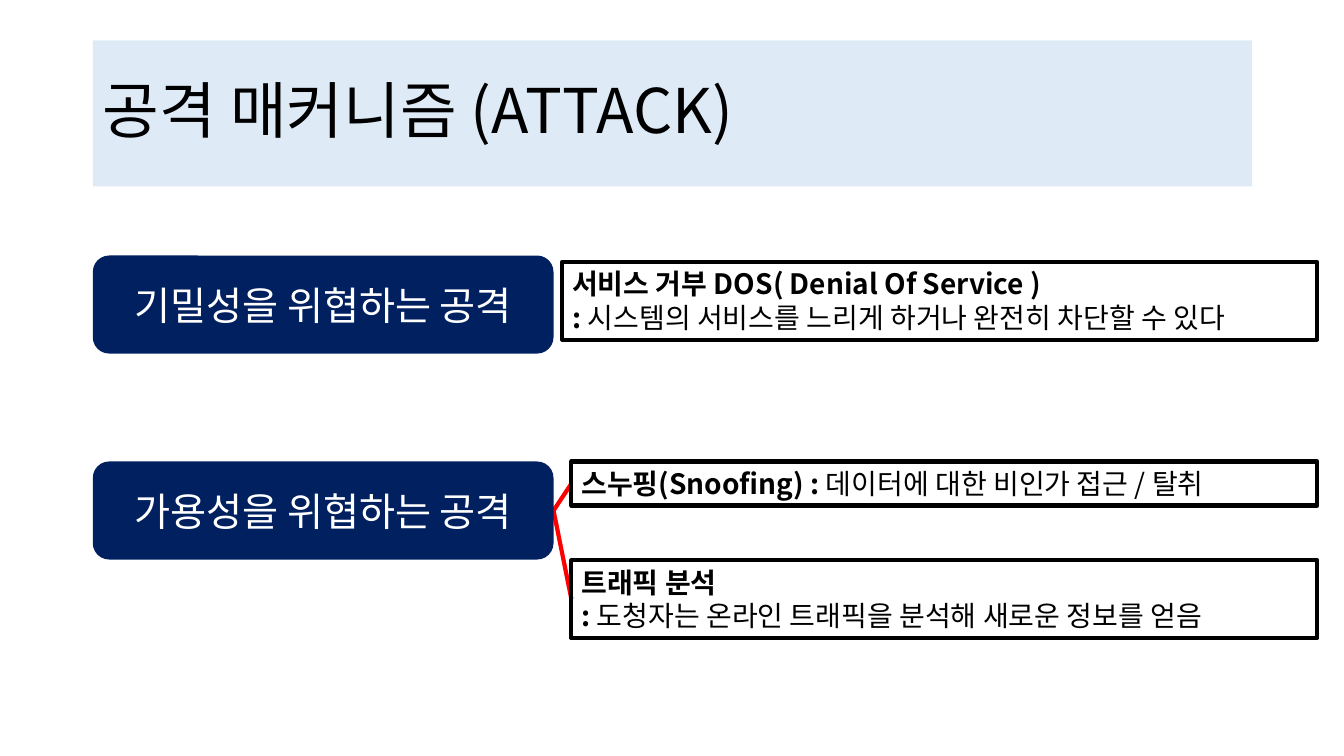
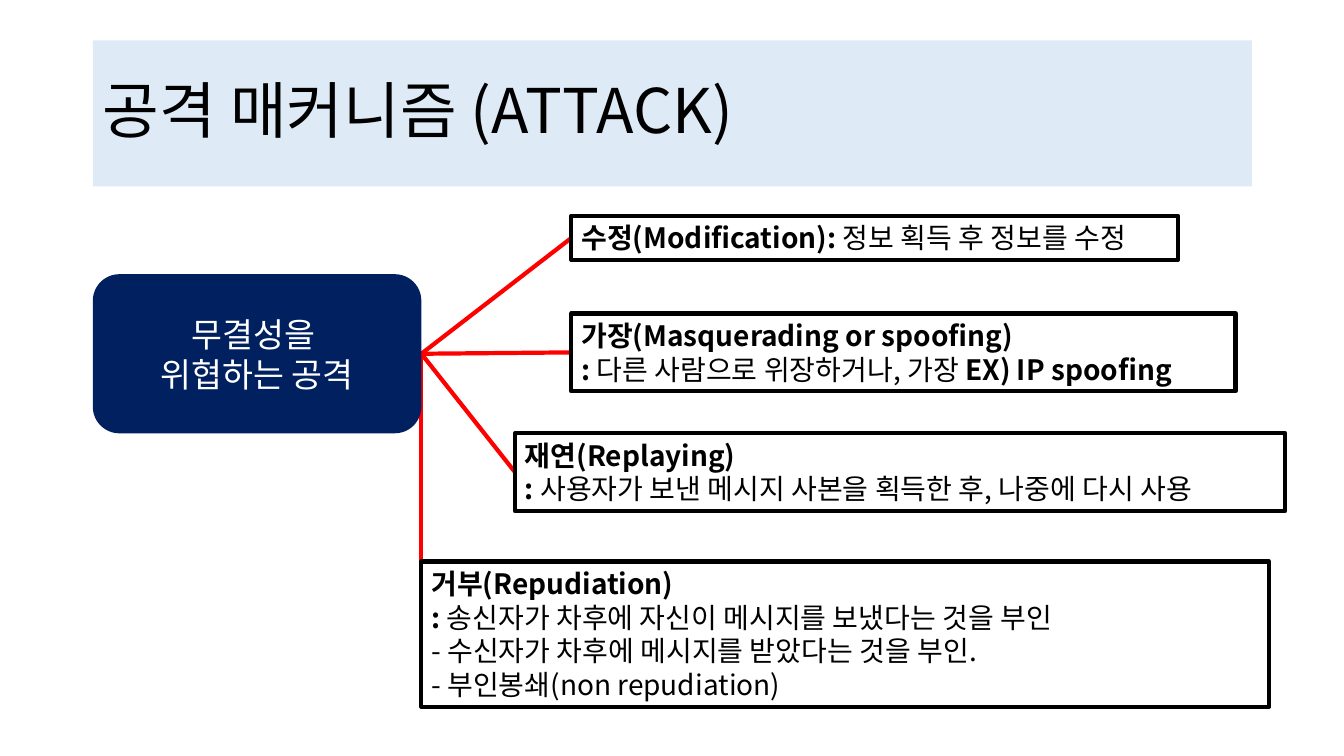
from dataclasses import dataclass
from typing import Any

from lxml.etree import SubElement
from pptx import Presentation
from pptx.dml.color import RGBColor
from pptx.enum.shapes import MSO_CONNECTOR as Connector, MSO_SHAPE as Shape
from pptx.enum.text import MSO_ANCHOR as Anchor, MSO_AUTO_SIZE as AutoSize, PP_ALIGN as Align
from pptx.oxml.ns import qn
from pptx.util import Cm, Pt

COLORS = {
    "band": "DEEBF7",
    "topic": "002060",
    "link": "FF0000",
    "ink": "000000",
    "paper": "FFFFFF",
}
FONT = "Noto Sans CJK KR"
TITLE = "공격 매커니즘 (ATTACK)"
TITLE_PLACE = {"left": Cm(2.34), "top": Cm(1.02), "width": Cm(29.21), "height": Cm(3.68)}
TOPIC_LEFT = 2.34
NOTE_LEFT = 14.4
NOTE_PADDING = 0.26
NOTE_LINE = 0.85
STROKE = Pt(3)


@dataclass(frozen=True)
class Note:
    """Each line alternates bold and regular spans, starting with bold."""

    left: float
    top: float
    width: float
    lines: tuple[tuple[str, ...], ...]

    @property
    def height(self) -> float:
        return NOTE_PADDING + NOTE_LINE * len(self.lines)

    @property
    def middle(self) -> float:
        return self.top + self.height / 2


@dataclass(frozen=True)
class Topic:
    top: float
    width: float
    height: float
    size: int
    lines: tuple[str, ...]
    notes: tuple[Note, ...]
    linked: bool = True


SLIDES = (
    (
        Topic(6.44, 11.61, 2.47, 28, ("기밀성을 위협하는 공격",), (
            Note(14.17, 6.6, 19.02, (
                ("서비스 거부 DOS( Denial Of Service )",),
                (": ", "시스템의 서비스를 느리게 하거나 완전히 차단할 수 있다"),
            )),
        ), linked=False),
        Topic(11.63, 11.61, 2.47, 28, ("가용성을 위협하는 공격",), (
            Note(NOTE_LEFT, 11.63, 18.8, (
                ("스누핑(Snoofing) : ", "데이터에 대한 비인가 접근 / 탈취"),
            )),
            Note(NOTE_LEFT, 14.12, 18.8, (
                ("트래픽 분석",),
                (": ", "도청자는 온라인 트래픽을 분석해 새로운 정보를 얻음"),
            )),
        )),
    ),
    (
        Topic(6.91, 8.28, 4.01, 24, ("무결성을 ", "위협하는 공격"), (
            Note(NOTE_LEFT, 5.44, 15.29, (
                ("수정(Modification): ", "정보 획득 후 정보를 수정"),
            )),
            Note(NOTE_LEFT, 7.9, 16.74, (
                ("가장(Masquerading or spoofing)",),
                (": ", "다른 사람으로 위장하거나, 가장 ", "EX) IP spoofing"),
            )),
            Note(12.98, 10.92, 19.41, (
                ("재연(Replaying)",),
                (": ", "사용자가 보낸 메시지 사본을 획득한 후, 나중에 다시 사용"),
            )),
            Note(10.62, 14.15, 21.36, (
                ("거부(Repudiation)",),
                (": ", "송신자가 차후에 자신이 메시지를 보냈다는 것을 부인"),
                ("", "- 수신자가 차후에 메시지를 받았다는 것을 부인."),
                ("", "- 부인봉쇄(non repudiation)"),
            )),
        )),
    ),
)


def color(name: str) -> RGBColor:
    return RGBColor.from_string(COLORS[name])


def apply(target: Any, values: dict[str, Any]) -> None:
    for name, value in values.items():
        setattr(target, name, value)


def paint(shape: Any, name: str) -> None:
    shape.fill.solid()
    shape.fill.fore_color.rgb = color(name)


def write(
    frame: Any,
    lines: tuple[tuple[str, ...], ...],
    font: dict[str, Any],
    ink: str,
    para_format: dict[str, Any],
    alternate: bool = False,
) -> None:
    for number, line in enumerate(lines):
        para = frame.add_paragraph() if number else frame.paragraphs[0]
        apply(para, para_format)
        for index, text in enumerate(line):
            if not text:
                continue
            span = para.add_run()
            span.text = text
            bold = alternate and index % 2 == 0
            apply(span.font, {"name": FONT, "bold": bold, **font})
            span.font.color.rgb = color(ink)
            SubElement(span.font._element, qn("a:ea"), typeface=FONT)


def draw_title(page: Any) -> None:
    title = page.shapes.title
    apply(title, TITLE_PLACE)
    paint(title, "band")
    apply(title.text_frame, {
        "vertical_anchor": Anchor.MIDDLE, "auto_size": AutoSize.NONE, "word_wrap": True,
    })
    write(title.text_frame, ((TITLE,),), {"size": Pt(44)}, "ink",
          {"alignment": Align.LEFT, "line_spacing": 0.9})


def draw_link(page: Any, topic: Topic, note: Note) -> None:
    link = page.shapes.add_connector(
        Connector.STRAIGHT,
        Cm(TOPIC_LEFT + topic.width), Cm(topic.top + topic.height / 2),
        Cm(note.left), Cm(note.middle),
    )
    link.line.color.rgb = color("link")
    link.line.width = STROKE
    SubElement(link._element.spPr, qn("a:effectLst"))


def draw_note(page: Any, note: Note) -> None:
    box = page.shapes.add_textbox(
        Cm(note.left), Cm(note.top), Cm(note.width), Cm(note.height))
    box.line.color.rgb = color("ink")
    box.line.width = STROKE
    apply(box.text_frame, {"word_wrap": True, "auto_size": AutoSize.SHAPE_TO_FIT_TEXT})
    write(box.text_frame, note.lines, {"size": Pt(20)}, "ink",
          {"alignment": Align.LEFT}, alternate=True)


def draw_topic(page: Any, topic: Topic) -> None:
    if topic.linked:
        for note in topic.notes:
            draw_link(page, topic, note)
    box = page.shapes.add_shape(
        Shape.ROUNDED_RECTANGLE,
        Cm(TOPIC_LEFT), Cm(topic.top), Cm(topic.width), Cm(topic.height))
    box.shadow.inherit = False
    box.line.fill.background()
    paint(box, "topic")
    box.text_frame.vertical_anchor = Anchor.MIDDLE
    write(box.text_frame, tuple((line,) for line in topic.lines),
          {"size": Pt(topic.size)}, "paper", {"alignment": Align.CENTER})
    for note in topic.notes:
        draw_note(page, note)


def main() -> None:
    deck = Presentation()
    apply(deck, {"slide_width": Cm(33.87), "slide_height": Cm(19.05)})
    for topics in SLIDES:
        page = deck.slides.add_slide(deck.slide_layouts[5])
        draw_title(page)
        for topic in topics:
            draw_topic(page, topic)
    deck.save("out.pptx")


if __name__ == "__main__":
    main()
